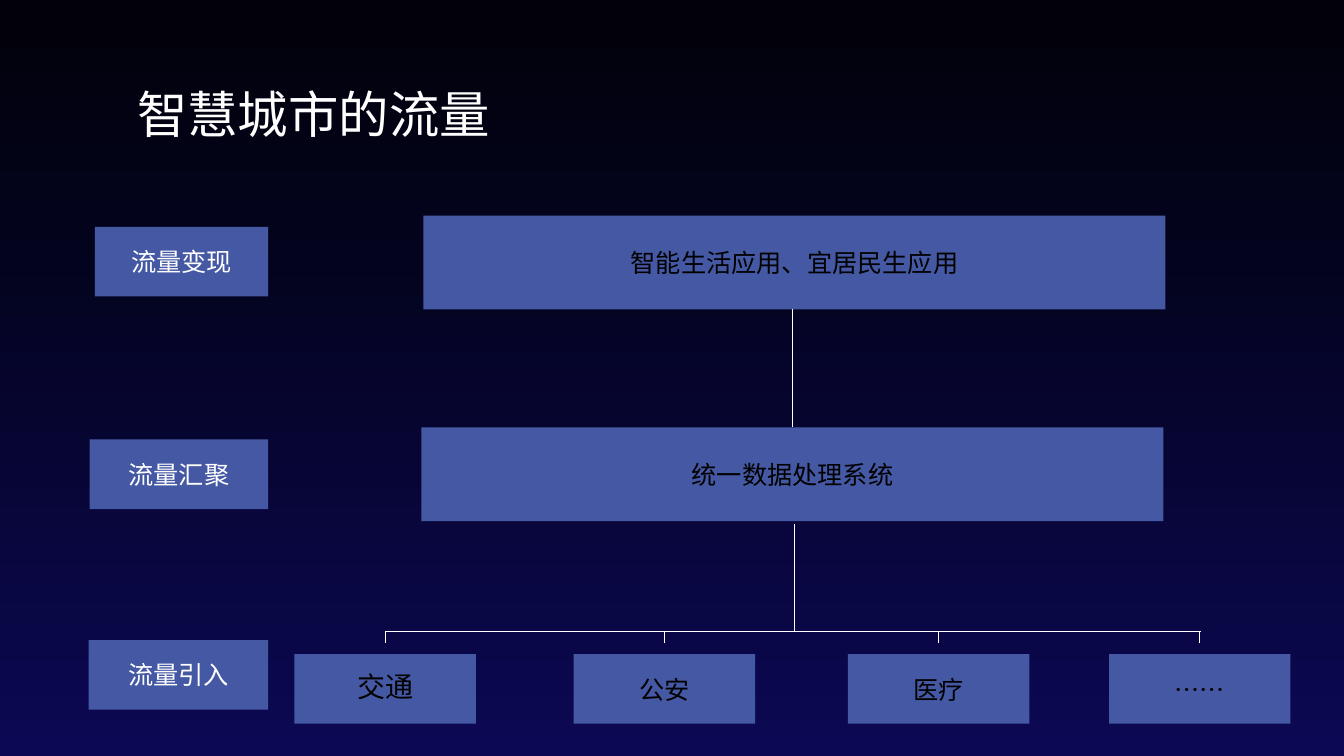
import copy

import pptx
import pptx.dml.color
import pptx.enum.shapes
import pptx.enum.text
import pptx.oxml.ns
import pptx.util
from pptx.util import Inches

RGBColor = pptx.dml.color.RGBColor
ALIGN = pptx.enum.text.PP_ALIGN
ANCHOR = pptx.enum.text.MSO_ANCHOR
qn = pptx.oxml.ns.qn

WHITE = RGBColor(0xFF, 0xFF, 0xFF)
BLACK = RGBColor(0x00, 0x00, 0x00)
BLUE = RGBColor(0x45, 0x58, 0xA3)
SKY = [(0, RGBColor(0x02, 0x01, 0x09)),
       (0.29, RGBColor(0x03, 0x03, 0x1B)),
       (1, RGBColor(0x0C, 0x08, 0x54))]


class Deck:
    """Holds the style and the current slide."""
    font = "Noto Sans CJK SC"

    def __init__(self):
        self.prs = pptx.Presentation()
        self.prs.slide_width = Inches(13.33)
        self.prs.slide_height = Inches(7.5)
        self.s = self.prs.slides.add_slide(self.prs.slide_layouts[5])

    def background(self, stops):
        fill = self.s.background.fill
        fill.gradient()
        fill.gradient_angle = 270
        first = self.s.element.find(".//" + qn("a:gs"))
        first.addnext(copy.deepcopy(first))
        for stop, (pos, color) in zip(fill.gradient_stops, stops):
            stop.position = pos
            stop.color.rgb = color

    def add_text(self, tf, text, size, color, align=ALIGN.CENTER):
        p = tf.paragraphs[0]
        p.alignment = align
        r = p.add_run()
        r.text = text
        r.font.size = pptx.util.Pt(size)
        r.font.name = self.font
        r.font.color.rgb = color
        # East Asian typeface
        r_pr = r._r.get_or_add_rPr()
        ea = r_pr.makeelement(qn("a:ea"), {"typeface": self.font})
        r_pr.find(qn("a:latin")).addnext(ea)

    def title(self, text, x, y, w, h):
        sp = self.s.shapes.title
        sp.left, sp.top, sp.width, sp.height = map(Inches, (x, y, w, h))
        tf = sp.text_frame
        tf.word_wrap = False
        tf.auto_size = pptx.enum.text.MSO_AUTO_SIZE.NONE
        tf.vertical_anchor = ANCHOR.TOP
        self.add_text(tf, text, 36, WHITE, ALIGN.LEFT)

    def box(self, x, y, w, h, text="", color=BLACK):
        sp = self.s.shapes.add_shape(
            pptx.enum.shapes.MSO_SHAPE.RECTANGLE, *map(Inches, (x, y, w, h)))
        sp.shadow.inherit = False
        sp.fill.solid()
        sp.fill.fore_color.rgb = BLUE
        sp.line.fill.background()
        if text:
            sp.text_frame.word_wrap = True
            sp.text_frame.vertical_anchor = ANCHOR.MIDDLE
            self.add_text(sp.text_frame, text, 18, color)
        return sp

    def label(self, x, y, w, h, text):
        tf = self.s.shapes.add_textbox(*map(Inches, (x, y, w, h))).text_frame
        tf.word_wrap = True
        self.add_text(tf, text, 20, BLACK)

    def line(self, x1, y1, x2, y2):
        cx = self.s.shapes.add_connector(
            pptx.enum.shapes.MSO_CONNECTOR.STRAIGHT,
            *map(Inches, (x1, y1, x2, y2)))
        cx.line.color.rgb = WHITE
        cx.line.width = pptx.util.Pt(0.5)
        sp_pr = cx._element.spPr
        sp_pr.append(sp_pr.makeelement(qn("a:effectLst"), {}))
        return cx


def main():
    deck = Deck()
    deck.background(SKY)
    deck.title("智慧城市的流量", 1.26, 0.77, 3.74, 0.71)

    # Platform and application layers
    platform = deck.box(4.18, 4.24, 7.36, 0.93, "统一数据处理系统")
    deck.box(4.2, 2.14, 7.36, 0.93, "智能生活应用、宜居民生应用")
    deck.line(7.86, 3.07, 7.86, 4.24).end_connect(platform, 0)

    # Trunk and bus down to the sources
    bus_y = 6.26
    deck.line(7.88, 5.2, 7.88, bus_y)
    deck.line(3.82, bus_y, 11.91, bus_y)

    # Data sources, each with a drop from the bus
    for x, text in [(2.92, ""), (5.69, "公安"), (8.41, "医疗"), (11, "……")]:
        deck.box(x, 6.49, 1.8, 0.69, text)
        deck.line(x + 0.9, bus_y, x + 0.9, 6.38)
    deck.label(2.66, 6.59, 2.32, 0.44, "交通")

    # Stage labels, aligned on their right edge
    for x, y, text in [(0.94, 2.25, "流量变现"), (0.89, 4.36, "流量汇聚"),
                       (0.88, 6.35, "流量引入")]:
        deck.box(x, y, 2.66 - x, 0.69, text, WHITE)

    deck.prs.save("out.pptx")


if __name__ == "__main__":
    main()
